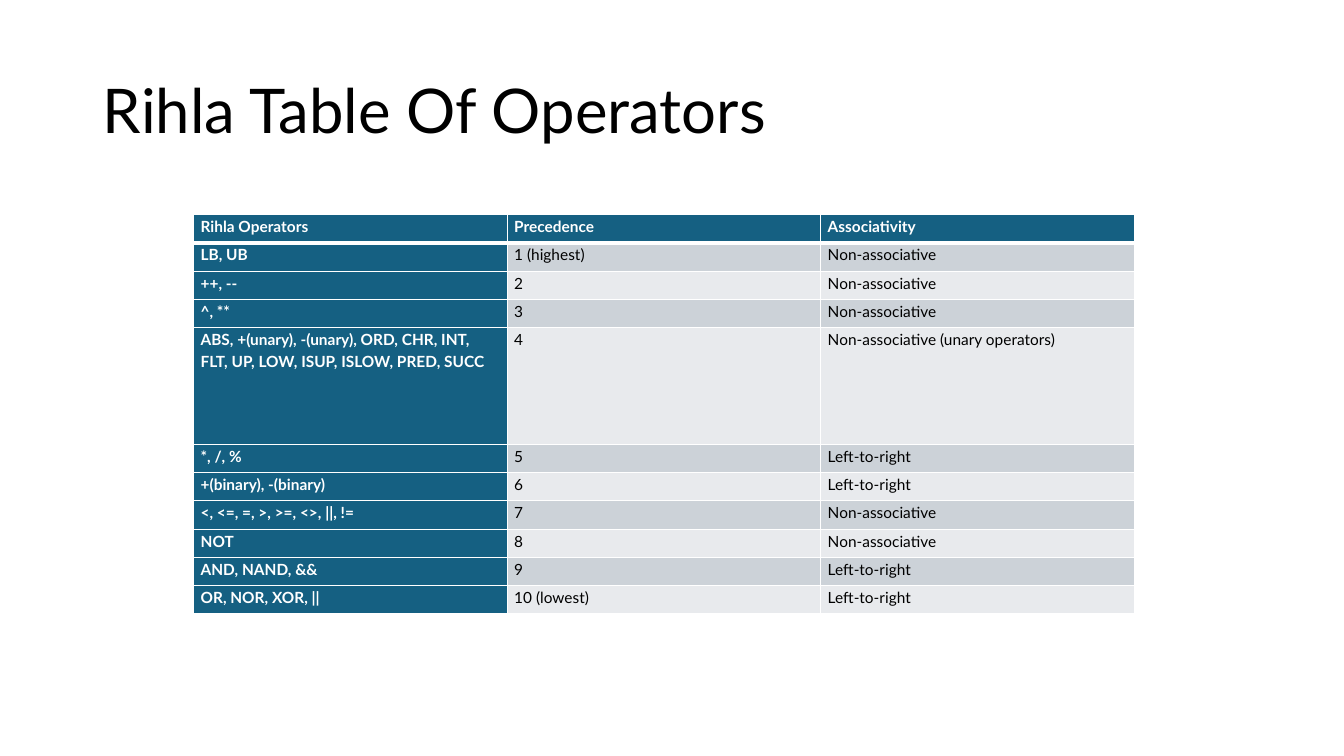
from pptx import Presentation, util as u
from pptx.dml.color import RGBColor
from pptx.enum import text
from pptx.oxml import parse_xml
from pptx.oxml.ns import nsdecls

BLACK = RGBColor(0x00, 0x00, 0x00)
WHITE = RGBColor(0xFF, 0xFF, 0xFF)
BLUE = RGBColor(0x15, 0x60, 0x82)
BANDS = RGBColor(0xCC, 0xD2, 0xD8), RGBColor(0xE8, 0xEA, 0xED)

HEADER = ("Rihla Operators", "Precedence", "Associativity")
NON, LEFT = "Non-associative", "Left-to-right"
OPERATORS = [
    ("LB, UB", "1 (highest)", NON),
    ("++, --", "2", NON),
    ("^, **", "3", NON),
    ("ABS, +(unary), -(unary), ORD, CHR, INT, FLT, UP, LOW, ISUP, ISLOW, PRED, SUCC",
     "4", "Non-associative (unary operators)"),
    ("*, /, %", "5", LEFT),
    ("+(binary), -(binary)", "6", LEFT),
    ("<, <=, =, >, >=, <>, ||, !=", "7", NON),
    ("NOT", "8", NON),
    ("AND, NAND, &&", "9", LEFT),
    ("OR, NOR, XOR, ||", "10 (lowest)", LEFT),
]
UNARY_ROW = 4


def write(tf, words, size, color=BLACK, bold=False, font="Lato", spacing=1.0, after=0):
    """Put one formatted paragraph into a text frame."""
    p = tf.paragraphs[0]
    p.alignment = text.PP_ALIGN.LEFT
    p.line_spacing, p.space_after = spacing, u.Pt(after)
    r = p.add_run()
    r.text = words
    r.font.name, r.font.size, r.font.bold = font, u.Pt(size), bold
    r.font.color.rgb = color


class OperatorSlide:
    """Current slide, with lengths given in inches on a 13.33 by 7.5 page."""

    def __init__(self, prs):
        self.s = prs.slides.add_slide(prs.slide_layouts[5])

    def title(self, words, x, y, w, h):
        sp = self.s.shapes.title
        sp.left, sp.top, sp.width, sp.height = map(u.Inches, (x, y, w, h))
        tf = sp.text_frame
        tf.auto_size = text.MSO_AUTO_SIZE.NONE
        tf.vertical_anchor = text.MSO_ANCHOR.MIDDLE
        write(tf, words, 44, spacing=0.9)

    def borders(self, cell, bottom):
        tc_pr = cell._tc.get_or_add_tcPr()
        for side, width in zip("LRTB", (1, 1, 1, bottom)):
            tc_pr.append(parse_xml(
                f'<a:ln{side} {nsdecls("a")} w="{u.Pt(width)}"><a:solidFill>'
                f'<a:srgbClr val="{WHITE}"/></a:solidFill></a:ln{side}>'))

    def cell(self, cell, words, fill, strong, bottom):
        cell.margin_left = cell.margin_right = u.Inches(0.07)
        cell.margin_top = cell.margin_bottom = 0
        self.borders(cell, bottom)
        cell.fill.solid()
        cell.fill.fore_color.rgb = fill
        write(cell.text_frame, words, 11, WHITE if strong else BLACK, strong,
              spacing=1.15, after=10)

    def table(self, rows, x, y, col, row, tall):
        size = len(rows), len(rows[0])
        height = row * (len(rows) - 1) + tall
        tbl = self.s.shapes.add_table(
            *size, *map(u.Inches, (x, y, col * size[1], height))).table
        for column in tbl.columns:
            column.width = u.Inches(col)
        for i, words in enumerate(rows):
            tbl.rows[i].height = u.Inches(tall if i == UNARY_ROW else row)
            for j, word in enumerate(words):
                strong = i == 0 or j == 0
                fill = BLUE if strong else BANDS[(i - 1) % 2]
                self.cell(tbl.cell(i, j), word, fill, strong, 3 if i == 0 else 1)


def main():
    prs = Presentation()
    prs.slide_width, prs.slide_height = u.Inches(13.33), u.Inches(7.5)
    slide = OperatorSlide(prs)

    # Title
    slide.title("Rihla Table Of Operators", 0.92, 0.4, 11.5, 1.45)

    # Operators by precedence
    slide.table([HEADER] + OPERATORS, 1.92, 2.13, col=3.11, row=0.28, tall=1.16)

    prs.save("out.pptx")


if __name__ == "__main__":
    main()
